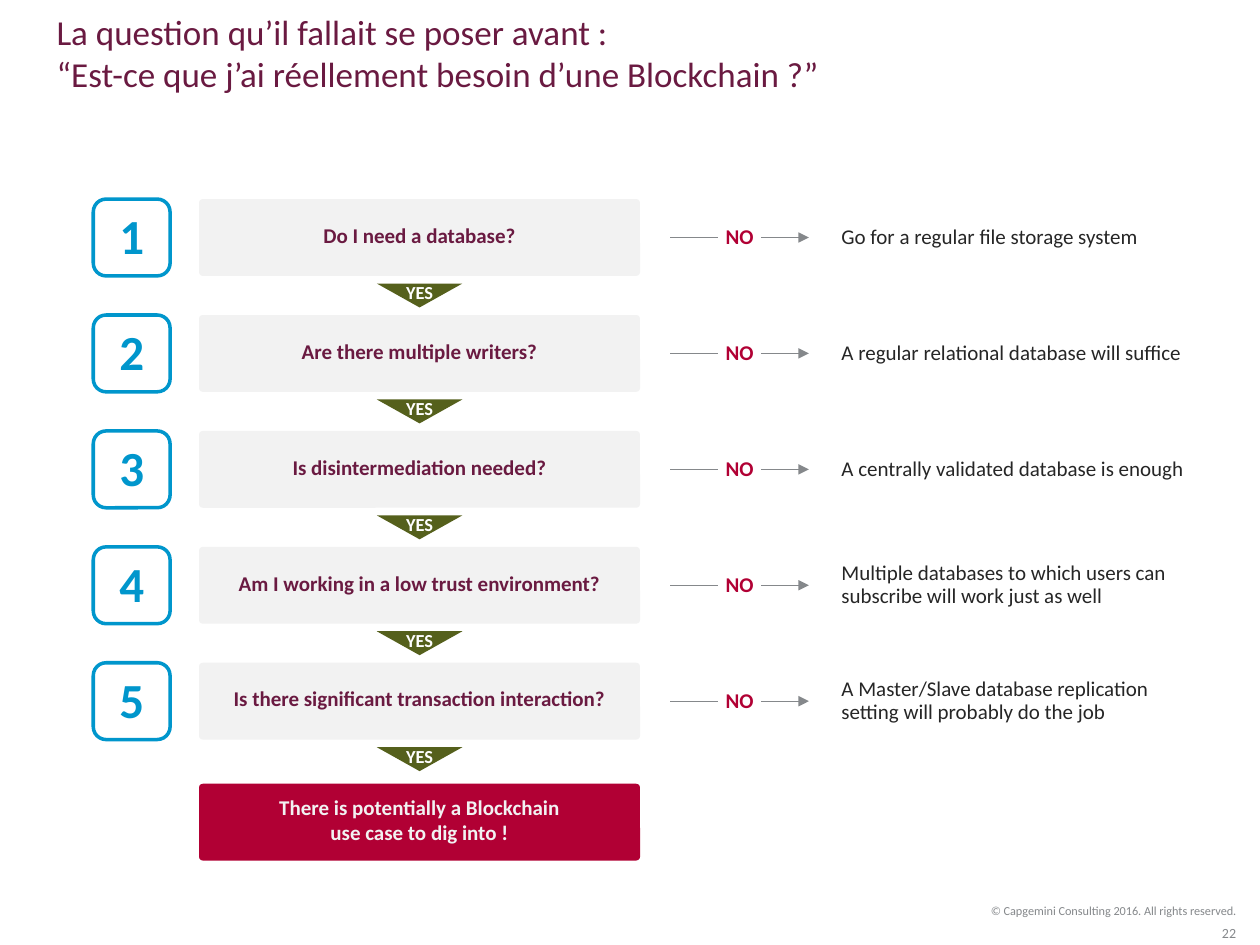
from lxml import etree
from pptx import Presentation
from pptx.dml.color import RGBColor
from pptx.enum.shapes import MSO_CONNECTOR, MSO_SHAPE
from pptx.enum.text import MSO_ANCHOR, PP_ALIGN
from pptx.oxml.ns import qn
from pptx.util import Inches, Pt

ROUNDED = MSO_SHAPE.ROUNDED_RECTANGLE
RECTANGLE = MSO_SHAPE.RECTANGLE
MERGE = MSO_SHAPE.FLOWCHART_MERGE
STRAIGHT = MSO_CONNECTOR.STRAIGHT
MIDDLE = MSO_ANCHOR.MIDDLE
LEFT, CENTER, RIGHT = PP_ALIGN.LEFT, PP_ALIGN.CENTER, PP_ALIGN.RIGHT

WHITE = RGBColor(0xFF, 0xFF, 0xFF)
PLUM = RGBColor(0x6A, 0x1A, 0x41)
CRIMSON = RGBColor(0xB1, 0x00, 0x34)
BLUE = RGBColor(0x00, 0x96, 0xCC)
OLIVE = RGBColor(0x55, 0x60, 0x1C)
PALE = RGBColor(0xF2, 0xF2, 0xF2)
GRAY = RGBColor(0x85, 0x88, 0x8B)
DARK = RGBColor(0x26, 0x26, 0x26)

FONT = "Calibri"
ROW_TOP, ROW_PITCH, ROW_HEIGHT = 1.58, 0.92, 0.61
NUMBER_LEFT = 0.74
QUESTION_LEFT, QUESTION_WIDTH = 1.58, 3.5
ARROW_START, ARROW_END = 5.32, 6.42
ANSWER_LEFT, ANSWER_WIDTH = 6.58, 2.92
NO_WIDTH, LINE_HEIGHT = 0.34, 0.18
YES_WIDTH, YES_HEIGHT, YES_OFFSET = 0.68, 0.19, 0.67
RESULT_TOP = 6.22
CARD_MARGINS = (0.04, 0, 0.04, 0.04)
TEXT_MARGINS = (0.1, 0.05, 0.1, 0.05)

TITLE = "La question qu’il fallait se poser avant :\n“Est-ce que j’ai réellement besoin d’une Blockchain ?”"
STEPS = [
    ("Do I need a database?", "Go for a regular file storage system", 1),
    ("Are there multiple writers?", "A regular relational database will suffice", 1),
    ("Is disintermediation needed?", "A centrally validated database is enough", 1),
    ("Am I working in a low trust environment?",
     "Multiple databases to which users can subscribe will work just as well", 2),
    ("Is there significant transaction interaction?",
     "A Master/Slave database replication setting will probably do the job", 2),
]


def apply(target, values):
    for name, value in values.items():
        setattr(target, name, value)


def write(shape, paragraphs, size, color, bold=False, margins=TEXT_MARGINS, **formats):
    frame = shape.text_frame
    left, top, right, bottom = map(Inches, margins)
    apply(frame, dict(word_wrap=True, vertical_anchor=MIDDLE, margin_left=left,
                      margin_top=top, margin_right=right, margin_bottom=bottom))
    for index, text in enumerate(paragraphs):
        paragraph = frame.add_paragraph() if index else frame.paragraphs[0]
        paragraph.text = text
        apply(paragraph, formats)
        for run in paragraph.runs:
            apply(run.font, dict(name=FONT, size=Pt(size), bold=bold))
            run.font.color.rgb = color


def add_text(slide, box, text, size, color, **formats):
    shape = slide.shapes.add_textbox(*map(Inches, box))
    write(shape, [text], size, color, **formats)


def add_box(slide, kind, box, fill, outline=None, corner=None):
    shape = slide.shapes.add_shape(kind, *map(Inches, box))
    shape.shadow.inherit = False
    shape.fill.solid()
    shape.fill.fore_color.rgb = fill
    if outline is None:
        shape.line.fill.background()
    else:
        shape.line.color.rgb = outline
        shape.line.width = Pt(2)
    if corner is not None:
        shape.adjustments[0] = corner
    return shape


def add_card(slide, top, paragraphs, fill, color):
    box = (QUESTION_LEFT, top, QUESTION_WIDTH, ROW_HEIGHT)
    card = add_box(slide, ROUNDED, box, fill, corner=0.05)
    write(card, paragraphs, 12, color, bold=True, margins=CARD_MARGINS, alignment=CENTER)


def add_number(slide, top, number):
    box = (NUMBER_LEFT, top, ROW_HEIGHT, ROW_HEIGHT)
    badge = add_box(slide, ROUNDED, box, WHITE, outline=BLUE)
    write(badge, [str(number)], 28, BLUE, bold=True, margins=CARD_MARGINS, alignment=CENTER)


def add_yes(slide, top):
    left = QUESTION_LEFT + (QUESTION_WIDTH - YES_WIDTH) / 2
    marker = add_box(slide, MERGE, (left, top, YES_WIDTH, YES_HEIGHT), OLIVE)
    write(marker, ["YES"], 10.5, WHITE, bold=True, margins=(0, 0.04, 0, 0),
          alignment=CENTER, space_after=Pt(3))


def add_no(slide, middle):
    arrow = slide.shapes.add_connector(
        STRAIGHT, *map(Inches, (ARROW_START, middle, ARROW_END, middle)))
    arrow.line.color.rgb = GRAY
    arrow.line.width = Pt(0.75)
    etree.SubElement(arrow.line._get_or_add_ln(), qn("a:tailEnd"), type="triangle")
    etree.SubElement(arrow._element.spPr, qn("a:effectLst"))
    left = (ARROW_START + ARROW_END - NO_WIDTH) / 2
    label = add_box(slide, RECTANGLE, (left, middle - LINE_HEIGHT / 2, NO_WIDTH, LINE_HEIGHT), WHITE)
    write(label, ["NO"], 12, CRIMSON, bold=True, margins=(0, 0, 0, 0),
          alignment=CENTER, line_spacing=0.9)


def add_answer(slide, middle, text, lines):
    height = 0.1 + lines * LINE_HEIGHT
    box = (ANSWER_LEFT, middle - height / 2, ANSWER_WIDTH, height)
    add_text(slide, box, text, 12, DARK, alignment=LEFT, line_spacing=0.9)


def add_step(slide, index, question, answer, lines):
    top = ROW_TOP + index * ROW_PITCH
    middle = top + ROW_HEIGHT / 2
    add_card(slide, top, [question], PALE, PLUM)
    add_number(slide, top, index + 1)
    add_no(slide, middle)
    add_answer(slide, middle, answer, lines)
    add_yes(slide, top + YES_OFFSET)


def main():
    presentation = Presentation()
    presentation.slide_width, presentation.slide_height = Inches(10), Inches(7.5)
    slide = presentation.slides.add_slide(presentation.slide_layouts[6])
    add_text(slide, (0.35, 0, 9.65, 0.84), TITLE, 20, PLUM, alignment=LEFT)
    for index, step in enumerate(STEPS):
        add_step(slide, index, *step)
    add_card(slide, RESULT_TOP, ["There is potentially a Blockchain", "use case to dig into !"],
             CRIMSON, PALE)
    add_text(slide, (6.99, 7.12, 2.92, 0.22), "© Capgemini Consulting 2016. All rights reserved.",
             7, GRAY, alignment=RIGHT)
    add_text(slide, (7.58, 7.34, 2.33, 0.13), "22", 8, GRAY, alignment=RIGHT)
    presentation.save("out.pptx")


if __name__ == "__main__":
    main()
